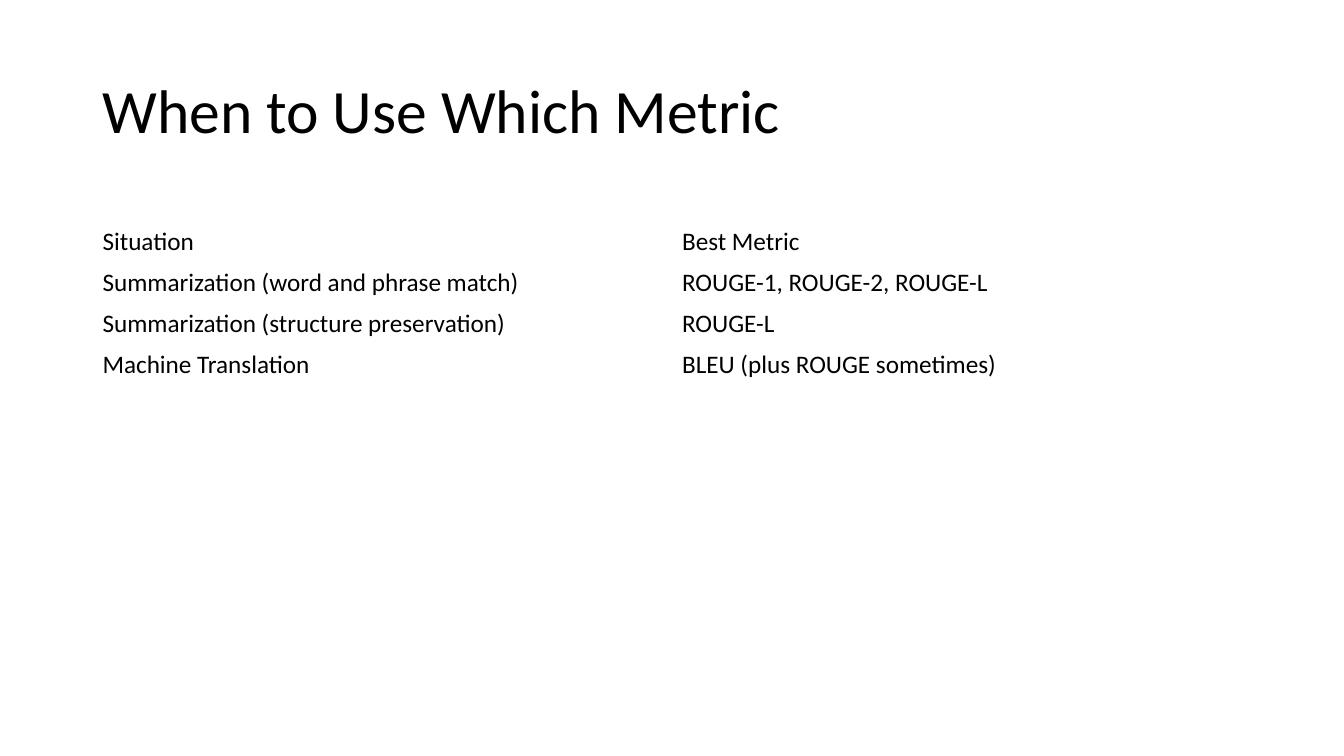
from pptx import Presentation
from pptx.dml.color import RGBColor
from pptx.enum.text import MSO_ANCHOR, MSO_AUTO_SIZE, PP_ALIGN
from pptx.util import Cm, Pt

BLACK = RGBColor(0x00, 0x00, 0x00)
FONT = "Calibri"
HEADING = "When to Use Which Metric"
METRIC_GUIDE = [
    ("Situation", "Best Metric"),
    ("Summarization (word and phrase match)", "ROUGE-1, ROUGE-2, ROUGE-L"),
    ("Summarization (structure preservation)", "ROUGE-L"),
    ("Machine Translation", "BLEU (plus ROUGE sometimes)"),
]


def style_paragraph(paragraph, size):
    paragraph.alignment = PP_ALIGN.LEFT
    paragraph.font.name = FONT
    paragraph.font.size = Pt(size)
    paragraph.font.bold = False
    paragraph.font.color.rgb = BLACK


def place_heading(slide, left, top, width, height):
    heading = slide.shapes.title
    heading.left, heading.top = left, top
    heading.width, heading.height = width, height
    frame = heading.text_frame
    frame.text = HEADING
    frame.word_wrap = True
    frame.auto_size = MSO_AUTO_SIZE.NONE
    frame.vertical_anchor = MSO_ANCHOR.MIDDLE
    frame.paragraphs[0].line_spacing = 0.9
    style_paragraph(frame.paragraphs[0], 44)


def place_metric_guide(slide, left, top, width, height):
    guide = slide.shapes.add_table(
        len(METRIC_GUIDE), len(METRIC_GUIDE[0]), left, top, width, height
    ).table
    guide.first_row = False
    guide.horz_banding = False
    for row, entries in enumerate(METRIC_GUIDE):
        for column, entry in enumerate(entries):
            cell = guide.cell(row, column)
            cell.text = entry
            cell.fill.background()
            cell.vertical_anchor = MSO_ANCHOR.MIDDLE
            style_paragraph(cell.text_frame.paragraphs[0], 18)


def main():
    presentation = Presentation()
    presentation.slide_width = Cm(33.87)
    presentation.slide_height = Cm(19.05)
    slide = presentation.slides.add_slide(presentation.slide_layouts[5])
    left, width = Cm(2.33), Cm(29.21)
    place_heading(slide, left, Cm(1.01), width, Cm(3.68))
    place_metric_guide(slide, left, Cm(5.59), width, Cm(4.06))
    presentation.save("out.pptx")


if __name__ == "__main__":
    main()
